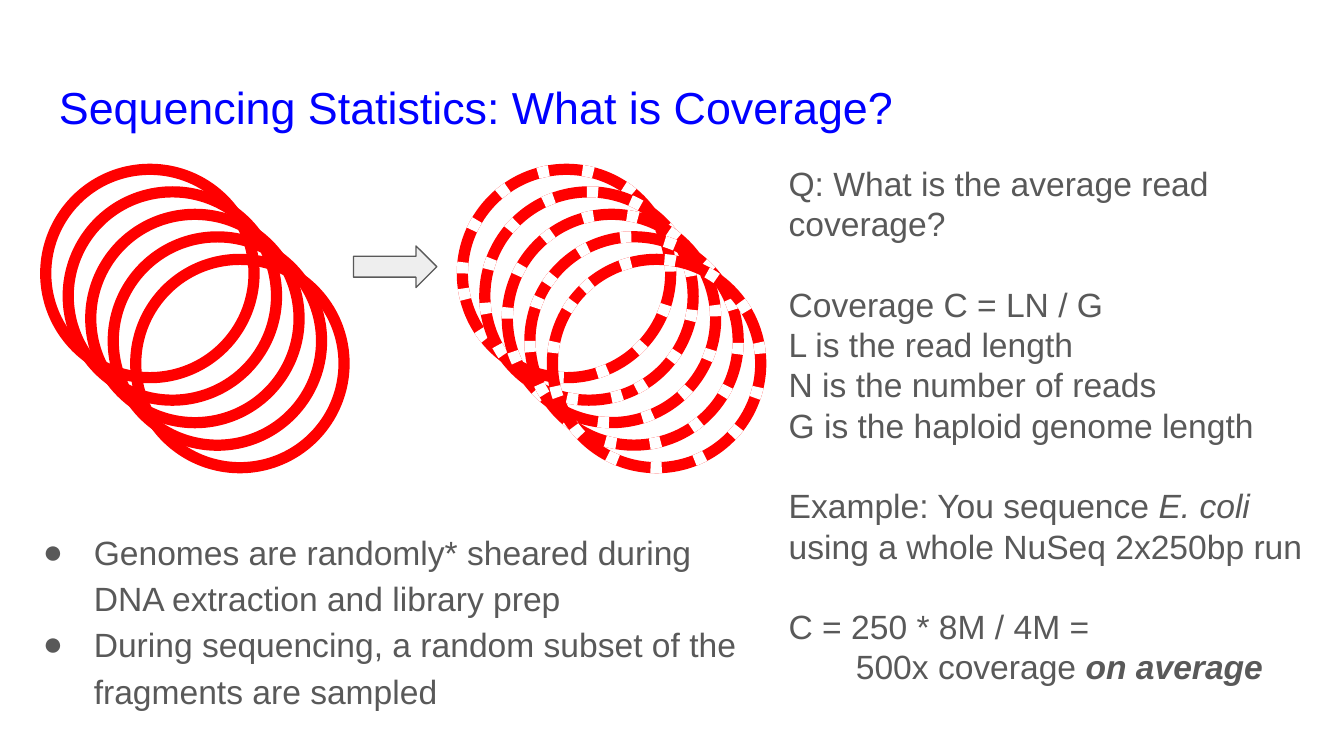
from lxml import etree
from pptx import Presentation
from pptx.dml.color import RGBColor
from pptx.enum.shapes import MSO_SHAPE as SHAPE
from pptx.enum.text import MSO_ANCHOR as ANCHOR
from pptx.oxml.ns import qn
from pptx.util import Inches, Pt

RED, WHITE, BLUE = "FF0000", "FFFFFF", "0000FF"
GREY, LIGHT = "595959", "EEEEEE"


def rgb(value):
    return RGBColor.from_string(value)


class Deck:
    font = {"name": "Arial", "size": Pt(18)}

    def __init__(self, width, height):
        self.prs = Presentation()
        self.prs.slide_width = Inches(width)
        self.prs.slide_height = Inches(height)
        self.s = self.prs.slides.add_slide(self.prs.slide_layouts[6])

    def shape(self, shapes, kind, box, line, weight, fill=None, rotation=0):
        sp = shapes.add_shape(kind, *map(Inches, box))
        sp.shadow.inherit = False
        sp.rotation = rotation
        if fill:
            sp.fill.solid()
            sp.fill.fore_color.rgb = rgb(fill)
        else:
            sp.fill.background()
        sp.line.color.rgb = rgb(line)
        sp.line.width = Pt(weight)
        return sp

    def ring(self, shapes, box, color, rotation=0, dotted=False):
        sp = self.shape(shapes, SHAPE.OVAL, box, color, 6, rotation=rotation)
        if dotted:
            ln = sp._element.spPr.find(qn("a:ln"))
            etree.SubElement(ln, qn("a:prstDash"), val="dot")

    def cut_ring(self, box, rotation):
        """A red ring cut into fragments by a dotted white one."""
        group = self.s.shapes.add_group_shape()
        self.ring(group.shapes, box, RED, rotation)
        self.ring(group.shapes, box, WHITE, rotation, dotted=True)

    def text(self, box, paragraphs, color=GREY, spacing=1.0, bullet=None, **font):
        """Each paragraph is (runs, gap before in points, first-line indent)."""
        sp = self.s.shapes.add_textbox(*map(Inches, box))
        tf = sp.text_frame
        tf.word_wrap = True
        tf.vertical_anchor = ANCHOR.TOP
        for side in ("left", "top", "right", "bottom"):
            setattr(tf, f"margin_{side}", Inches(0.1))
        for i, (runs, gap, indent) in enumerate(paragraphs):
            p = tf.paragraphs[0] if i == 0 else tf.add_paragraph()
            p.line_spacing = spacing
            p.space_before = Pt(gap)
            pPr = p._p.get_or_add_pPr()
            if bullet:
                self.bullet(pPr, bullet, color)
            elif indent:
                pPr.set("marL", "0")
                pPr.set("indent", str(Inches(indent)))
            for content, style in runs:
                r = p.add_run()
                r.text = content
                for key, value in {**self.font, **font, **style}.items():
                    setattr(r.font, key, value)
                r.font.color.rgb = rgb(color)

    def bullet(self, pPr, char, color):
        pPr.set("marL", str(Inches(0.5)))
        pPr.set("indent", str(Inches(-0.38)))
        clr = etree.SubElement(pPr, qn("a:buClr"))
        etree.SubElement(clr, qn("a:srgbClr"), val=color)
        etree.SubElement(pPr, qn("a:buFont"), typeface="Arial")
        etree.SubElement(pPr, qn("a:buChar"), char=char)


def para(*runs, gap=0, indent=0):
    """Plain strings become unstyled runs."""
    return [(r, {}) if isinstance(r, str) else r for r in runs], gap, indent


def main():
    # Widescreen 16:9
    deck = Deck(10, 10 * 9 / 16)

    # Title
    deck.text((0.34, 0.49, 9.32, 0.63),
              [para("Sequencing Statistics: What is Coverage?")],
              color=BLUE, size=Pt(24))

    # Whole genomes on the left, sheared genomes on the right
    size, step, top = 1.55, 0.67 / 4, 1.26
    for i, angle in enumerate((0, 251.4, 310.5, 33, 45)):
        shift = i * step
        deck.ring(deck.s.shapes, (0.34 + shift, top + shift, size, size), RED)
        deck.cut_ring((3.44 + shift, top + shift, size, size), angle)
    deck.shape(deck.s.shapes, SHAPE.RIGHT_ARROW, (2.63, 1.83, 0.62, 0.31),
               GREY, 0.75, fill=LIGHT)

    # Notes on shearing
    deck.text((0.1, 3.81, 5.67, 1.64), [
        para("Genomes are randomly* sheared during DNA extraction and library prep"),
        para("During sequencing, a random subset of the fragments are sampled"),
    ], spacing=1.15, bullet="●")

    # Coverage formula and example
    gap = 21.6
    deck.text((5.77, 1.11, 4.23, 4.44), [
        para("Q: What is the average read coverage?"),
        para("Coverage C = LN / G", gap=gap),
        para("L is the read length"),
        para("N is the number of reads"),
        para("G is the haploid genome length"),
        para("Example: You sequence ", ("E. coli", {"italic": True}),
             " using a whole NuSeq 2x250bp run", gap=gap),
        para("C = 250 * 8M / 4M =", gap=gap),
        para("500x coverage ", ("on average", {"bold": True, "italic": True}),
             indent=0.5),
    ])

    deck.prs.save("out.pptx")


if __name__ == "__main__":
    main()
